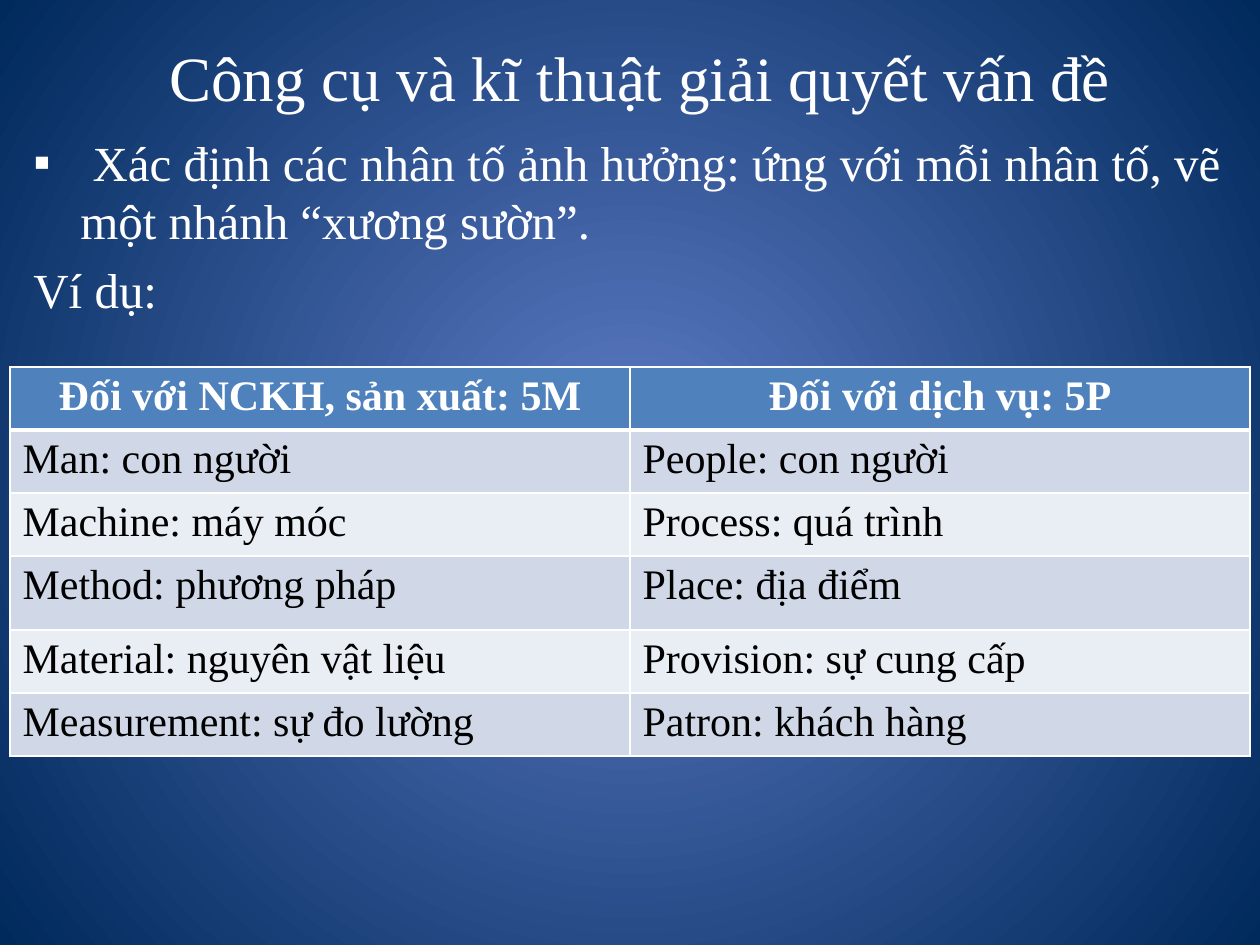
from lxml import etree
from pptx import Presentation
from pptx.dml.color import RGBColor
from pptx.enum.text import MSO_ANCHOR, PP_ALIGN
from pptx.oxml.ns import qn
from pptx.util import Pt

CENTER, LEFT = PP_ALIGN.CENTER, PP_ALIGN.LEFT
MIDDLE, TOP = MSO_ANCHOR.MIDDLE, MSO_ANCHOR.TOP

PX = 914400 // 126
FONT = "Times New Roman"
WHITE = RGBColor(0xFF, 0xFF, 0xFF)
BLACK = RGBColor(0, 0, 0)
GLOW = RGBColor(0x5E, 0x7C, 0xC5)
NAVY = RGBColor(0x00, 0x29, 0x5C)
HEADER_BLUE = RGBColor(0x4F, 0x81, 0xBD)
BANDS = (RGBColor(0xD0, 0xD8, 0xE8), RGBColor(0xE9, 0xED, 0xF4))

TITLE = "Công cụ và kĩ thuật giải quyết vấn đề"
# An en space sets the first line in after the bullet.
BULLET_TEXT = " Xác định các nhân tố ảnh hưởng: ứng với mỗi nhân tố, vẽ một nhánh “xương sườn”."
EXAMPLE_TEXT = "Ví dụ:"
FACTORS = [
    ("Đối với NCKH, sản xuất: 5M", "Đối với dịch vụ: 5P"),
    ("Man: con người", "People: con người"),
    ("Machine: máy móc", "Process: quá trình"),
    ("Method: phương pháp", "Place: địa điểm"),
    ("Material: nguyên vật liệu", "Provision: sự cung cấp"),
    ("Measurement: sự đo lường", "Patron: khách hàng"),
]
ROW_HEIGHTS = (61, 61, 62, 74, 61, 62)
COLUMN_WIDTH = 620
TITLE_BOX = (73, 21, 1134, 110)
BODY_BOX = (21, 126, 1218, 798)
TABLE_LEFT, TABLE_TOP = 10, 367
BULLET_INDENT = 47


def emu(*lengths):
    return [length * PX for length in lengths]


def style(paragraph, size, color, bold=False, align=LEFT):
    paragraph.alignment = align
    for run in paragraph.runs:
        run.font.name = FONT
        run.font.size = Pt(size)
        run.font.bold = bold
        run.font.color.rgb = color


def set_background(slide):
    fill = slide.background.fill
    fill.gradient()
    for stop, color, position in zip(fill.gradient_stops, (GLOW, NAVY), (0, 1)):
        stop.color.rgb = color
        stop.position = position
    gradient = slide.background._cSld.find(".//" + qn("a:gradFill"))
    gradient.remove(gradient.find(qn("a:lin")))
    path = etree.SubElement(gradient, qn("a:path"), path="circle")
    etree.SubElement(path, qn("a:fillToRect"), l="50000", t="50000", r="50000", b="50000")


def add_text(slide, box, lines, size, anchor, align):
    text_frame = slide.shapes.add_textbox(*emu(*box)).text_frame
    text_frame.word_wrap = True
    text_frame.vertical_anchor = anchor
    text_frame.text = "\n".join(lines)
    for paragraph in text_frame.paragraphs:
        style(paragraph, size, WHITE, align=align)
    return text_frame


def add_bullet(paragraph):
    properties = paragraph._p.get_or_add_pPr()
    properties.set("marL", str(BULLET_INDENT * PX))
    properties.set("indent", str(-BULLET_INDENT * PX))
    etree.SubElement(properties, qn("a:buFont"), typeface="Arial")
    etree.SubElement(properties, qn("a:buChar"), char="▪")


def set_borders(cell, top, bottom):
    """Draw white borders; top and bottom are widths in points."""
    properties = cell._tc.get_or_add_tcPr()
    for side, width in (("lnL", 1), ("lnR", 1), ("lnT", top), ("lnB", bottom)):
        line = etree.SubElement(properties, qn("a:" + side), w=str(Pt(width)))
        fill = etree.SubElement(line, qn("a:solidFill"))
        etree.SubElement(fill, qn("a:srgbClr"), val=str(WHITE))


def add_factor_table(slide):
    columns = len(FACTORS[0])
    box = (TABLE_LEFT, TABLE_TOP, columns * COLUMN_WIDTH, sum(ROW_HEIGHTS))
    table = slide.shapes.add_table(len(FACTORS), columns, *emu(*box)).table
    for row_index, (texts, height) in enumerate(zip(FACTORS, ROW_HEIGHTS)):
        table.rows[row_index].height = height * PX
        header = row_index == 0
        for column_index, text in enumerate(texts):
            cell = table.cell(row_index, column_index)
            cell.text_frame.text = text
            style(cell.text_frame.paragraphs[0], 24, WHITE if header else BLACK,
                  bold=header, align=CENTER if header else LEFT)
            set_borders(cell, 3 if row_index == 1 else 1, 3 if header else 1)
            cell.fill.solid()
            cell.fill.fore_color.rgb = HEADER_BLUE if header else BANDS[(row_index - 1) % 2]


def main():
    presentation = Presentation()
    presentation.slide_width, presentation.slide_height = emu(1260, 945)
    slide = presentation.slides.add_slide(presentation.slide_layouts[6])
    set_background(slide)
    add_text(slide, TITLE_BOX, [TITLE], 36, MIDDLE, CENTER)
    body = add_text(slide, BODY_BOX, [BULLET_TEXT, EXAMPLE_TEXT], 28, TOP, LEFT)
    for paragraph in body.paragraphs:
        paragraph.space_before = Pt(5.6)
    add_bullet(body.paragraphs[0])
    add_factor_table(slide)
    presentation.save("out.pptx")


if __name__ == "__main__":
    main()
